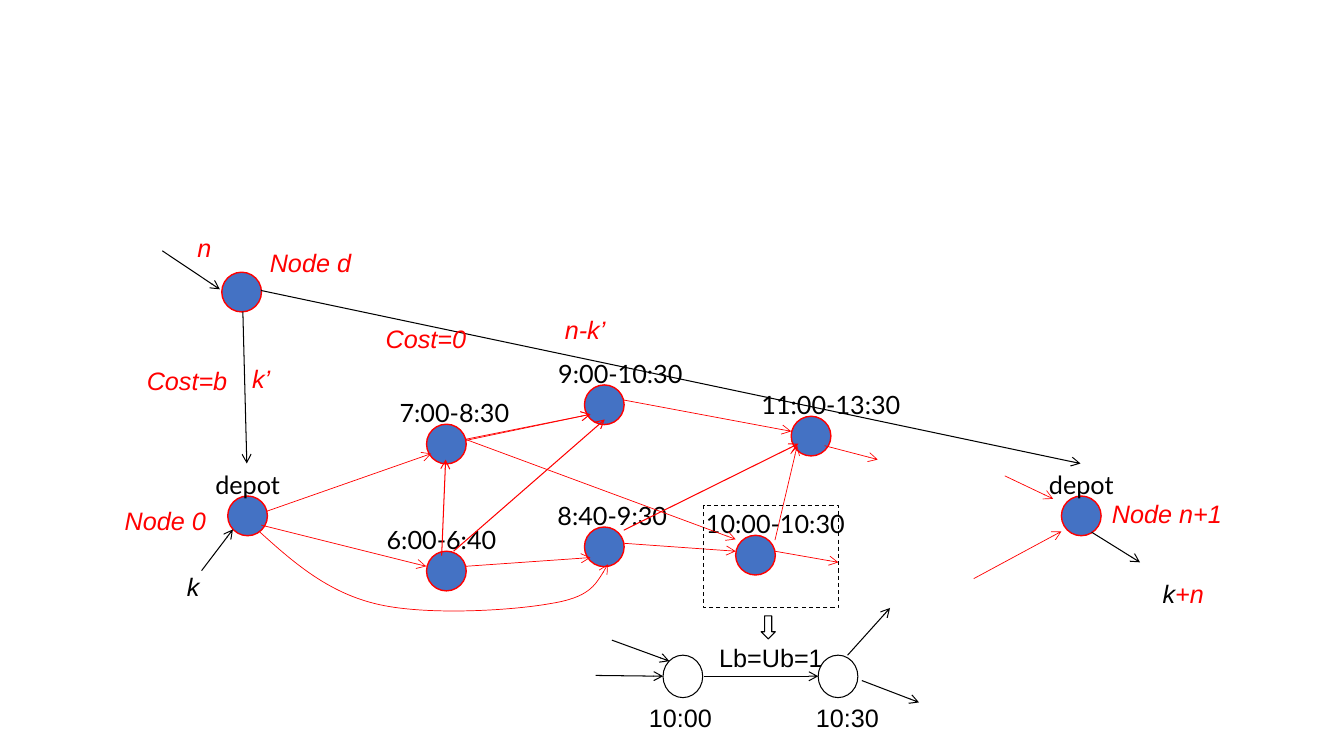
"""Draw a vehicle scheduling network with depots, timed trips and a split trip."""
from lxml.etree import SubElement
from pptx import Presentation
from pptx.dml.color import RGBColor
from pptx.enum.dml import MSO_LINE_DASH_STYLE as Dash
from pptx.enum.shapes import MSO_CONNECTOR as Connector, MSO_SHAPE as Shape
from pptx.enum.text import MSO_AUTO_SIZE as AutoSize, PP_ALIGN as Align
from pptx.oxml.ns import qn
from pptx.util import Cm, Pt

COLOURS = {"node": "4472C4", "red": "FF0000", "black": "000000"}
NODE_SIZE = 1.0
LABEL_HEIGHT = 1.03

# (time window, left, top, label width, label shift to the left)
NODES = [
    ("7:00-8:30", 10.75, 10.69, 3.4, 1.0),
    ("9:00-10:30", 14.73, 9.7, 3.81, 1.0),
    ("8:40-9:30", 14.73, 13.28, 3.4, 1.0),
    ("6:00-6:40", 10.75, 13.89, 3.61, 1.43),
    ("11:00-13:30", 19.94, 10.49, 4.1, 1.05),
    ("10:00-10:30", 18.54, 13.49, 4.1, 1.05),
    ("depot", 5.74, 12.5, 3.0, 1.0),
    ("depot", 26.75, 12.5, 3.0, 1.0),
]
THIN_TRIPS = [
    (11.73, 11.1, 14.88, 10.44),
    (6.58, 13.23, 10.74, 14.27),
    (6.73, 12.88, 10.87, 11.43),
    (11.73, 14.27, 14.88, 14.05),
    (11.73, 11.07, 14.88, 10.44),
    (15.72, 13.69, 18.54, 13.89),
    (19.53, 13.61, 20.09, 11.23),
    (11.73, 11.07, 18.54, 13.59),
    (15.72, 10.08, 19.94, 10.87),
    (25.32, 11.99, 26.54, 12.57),
    (24.54, 14.58, 26.75, 13.39),
    (20.78, 11.23, 22.12, 11.58),
    (19.53, 13.89, 21.13, 14.17),
]
BOLD_TRIPS = [
    (11.43, 13.89, 15.24, 10.57),
    (15.72, 13.36, 20.12, 11.18),
    (11.13, 14.0, 11.23, 11.58),
]
FLOWS = [
    (5.08, 14.38, 5.87, 13.34),
    (27.51, 13.41, 28.73, 14.17),
    (17.73, 17.04, 20.62, 17.04),
    (15.42, 16.13, 16.87, 16.66),
    (15.01, 17.02, 16.71, 17.04),
    (21.72, 17.15, 23.16, 17.7),
    (21.36, 16.51, 22.43, 15.32),
    (6.12, 7.85, 6.22, 11.68),
    (6.58, 7.32, 27.23, 11.68),
    (4.09, 6.32, 5.54, 7.29),
]
BYPASS = [
    (6.53, 13.39), (7.37, 14.15), (8.23, 14.91), (9.45, 15.21), (10.67, 15.52),
    (12.88, 15.39), (13.87, 15.21), (14.83, 15.06), (15.09, 14.63), (15.32, 14.22),
]
SPLIT_LABELS = [
    ("10:00", 16.08, 17.58, 2.13),
    ("10:30", 20.29, 17.58, 2.13),
    ("Lb=Ub=1", 17.17, 16.05, 4.52),
]
RED_LABELS = [
    ("k’", 6.1, 9.04, 0.97),
    ("n-k’", 13.97, 7.8, 1.55),
    ("n", 4.72, 5.74, 0.86),
    ("Cost=b", 3.43, 9.07, 2.57),
    ("Cost=0", 9.45, 8.03, 2.57),
    ("Node 0", 2.87, 12.62, 2.59),
    ("Node n+1", 27.76, 12.42, 3.3),
    ("Node d", 6.53, 6.12, 2.59),
]


def rgb(name):
    """Return the named colour."""
    return RGBColor.from_string(COLOURS[name])


def set_line(item, colour, weight, arrow=False):
    """Style an outline or connector, with an arrowhead on request."""
    item.line.color.rgb = rgb(colour)
    item.line.width = Pt(weight)
    if arrow:
        SubElement(item.line._get_or_add_ln(), qn("a:tailEnd"), type="arrow")


def add_outline(slide, kind, left, top, width, height, line=("black", 0.75), fill=None):
    """Add a preset shape, unfilled by default."""
    outline = slide.shapes.add_shape(kind, Cm(left), Cm(top), Cm(width), Cm(height))
    outline.shadow.inherit = False
    if fill:
        outline.fill.solid()
        outline.fill.fore_color.rgb = rgb(fill)
    else:
        outline.fill.background()
    set_line(outline, *line)
    return outline


def add_label(slide, runs, left, top, width, font="Arial", italic=False, wrap=True):
    """Add a centred label made of (text, colour) runs."""
    label = slide.shapes.add_textbox(Cm(left), Cm(top), Cm(width), Cm(LABEL_HEIGHT))
    frame = label.text_frame
    frame.word_wrap = wrap
    frame.auto_size = AutoSize.SHAPE_TO_FIT_TEXT
    paragraph = frame.paragraphs[0]
    paragraph.alignment = Align.CENTER
    for text, colour in runs:
        run = paragraph.add_run()
        run.text = text
        run.font.name = font
        run.font.size = Pt(18)
        run.font.italic = italic
        run.font.color.rgb = rgb(colour)


def add_node(slide, left, top):
    """Add a filled network node."""
    add_outline(slide, Shape.OVAL, left, top, NODE_SIZE, NODE_SIZE, ("red", 1), "node")


def add_arrows(slide, routes, colour, weight):
    """Add a straight arrow for each route."""
    for route in routes:
        arrow = slide.shapes.add_connector(Connector.STRAIGHT, *map(Cm, route))
        set_line(arrow, colour, weight, arrow=True)
        SubElement(arrow._element.spPr, qn("a:effectLst"))


def add_curve(slide, points):
    """Add a curved arrow from a start point and triples of Bezier points."""
    start, *rest = [(Cm(x), Cm(y)) for x, y in points]
    builder = slide.shapes.build_freeform(*start)
    builder.add_line_segments(rest, close=False)
    curve = builder.convert_to_shape()
    curve.shadow.inherit = False
    curve.fill.background()
    set_line(curve, "red", 0.5, arrow=True)
    outline = next(curve._element.iter(qn("a:path")))
    steps = outline.findall(qn("a:lnTo"))
    for first in range(0, len(steps), 3):
        bend = SubElement(outline, qn("a:cubicBezTo"))
        for step in steps[first:first + 3]:
            bend.append(step[0])
            outline.remove(step)


def main():
    """Build the slide and save it."""
    deck = Presentation()
    deck.slide_width, deck.slide_height = Cm(33.87), Cm(19.05)
    slide = deck.slides.add_slide(deck.slide_layouts[6])

    for window, left, top, width, shift in NODES:
        add_node(slide, left, top)
        add_label(slide, [(window, "black")], left - shift, top - 0.8, width, font="Lato")
    add_arrows(slide, THIN_TRIPS, "red", 0.5)
    add_curve(slide, BYPASS)
    add_arrows(slide, BOLD_TRIPS, "red", 0.75)

    add_label(slide, [("k", "black"), ("+n", "red")], 28.12, 14.45, 3.4, italic=True)
    add_label(slide, [("k", "black")], 4.45, 14.27, 0.84, italic=True, wrap=False)
    for left in (16.71, 20.62):
        add_outline(slide, Shape.OVAL, left, 16.51, 1.0, 1.07)
    for text, *place in SPLIT_LABELS:
        add_label(slide, [(text, "black")], *place)
    split_trip = add_outline(slide, Shape.RECTANGLE, 17.73, 12.73, 3.4, 2.59)
    split_trip.line.dash_style = Dash.DASH
    add_outline(slide, Shape.DOWN_ARROW, 19.18, 15.52, 0.36, 0.58)

    add_node(slide, 5.59, 6.86)
    add_arrows(slide, FLOWS, "black", 0.75)
    for text, *place in RED_LABELS:
        add_label(slide, [(text, "red")], *place, italic=True, wrap=False)
    deck.save("out.pptx")


if __name__ == "__main__":
    main()
